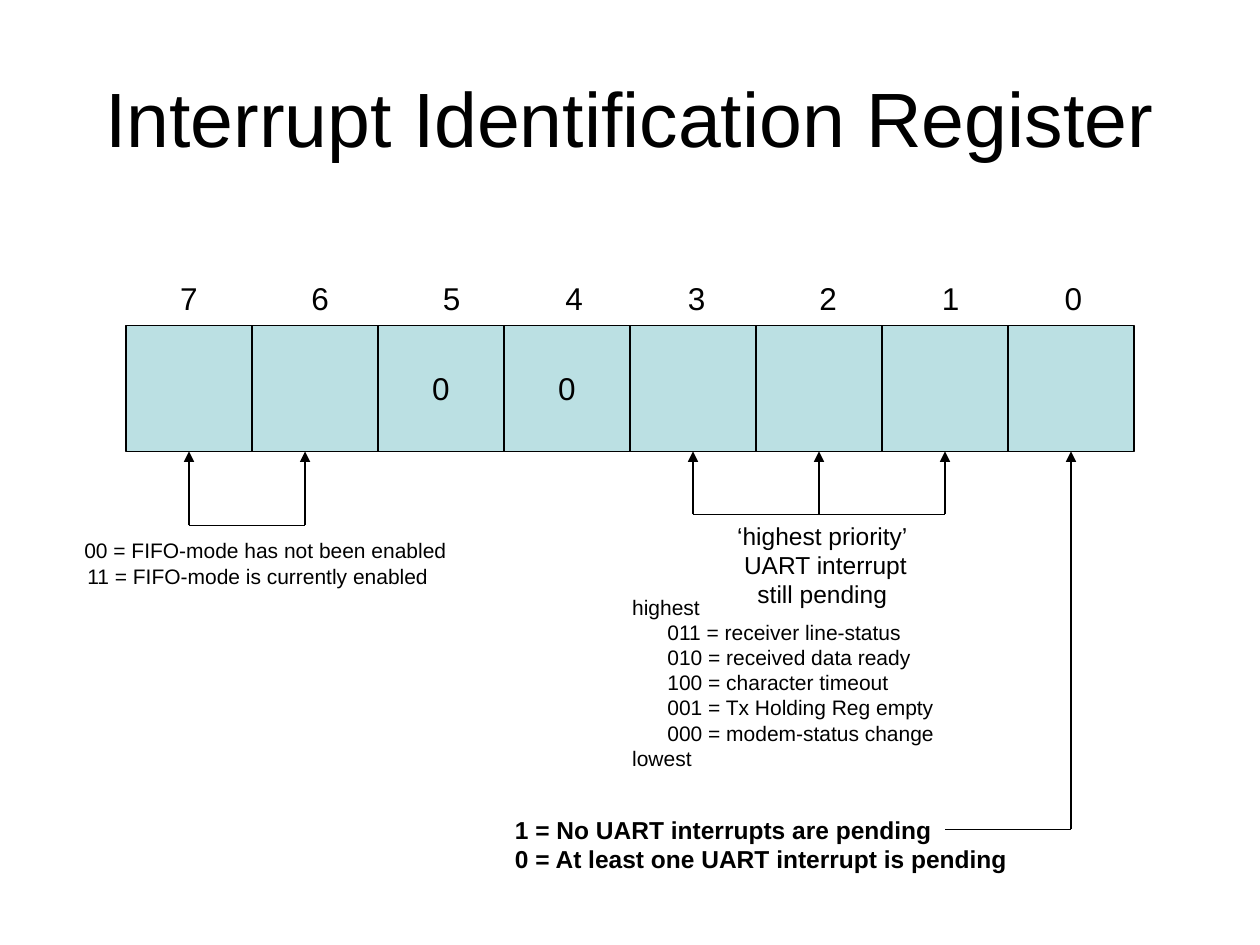
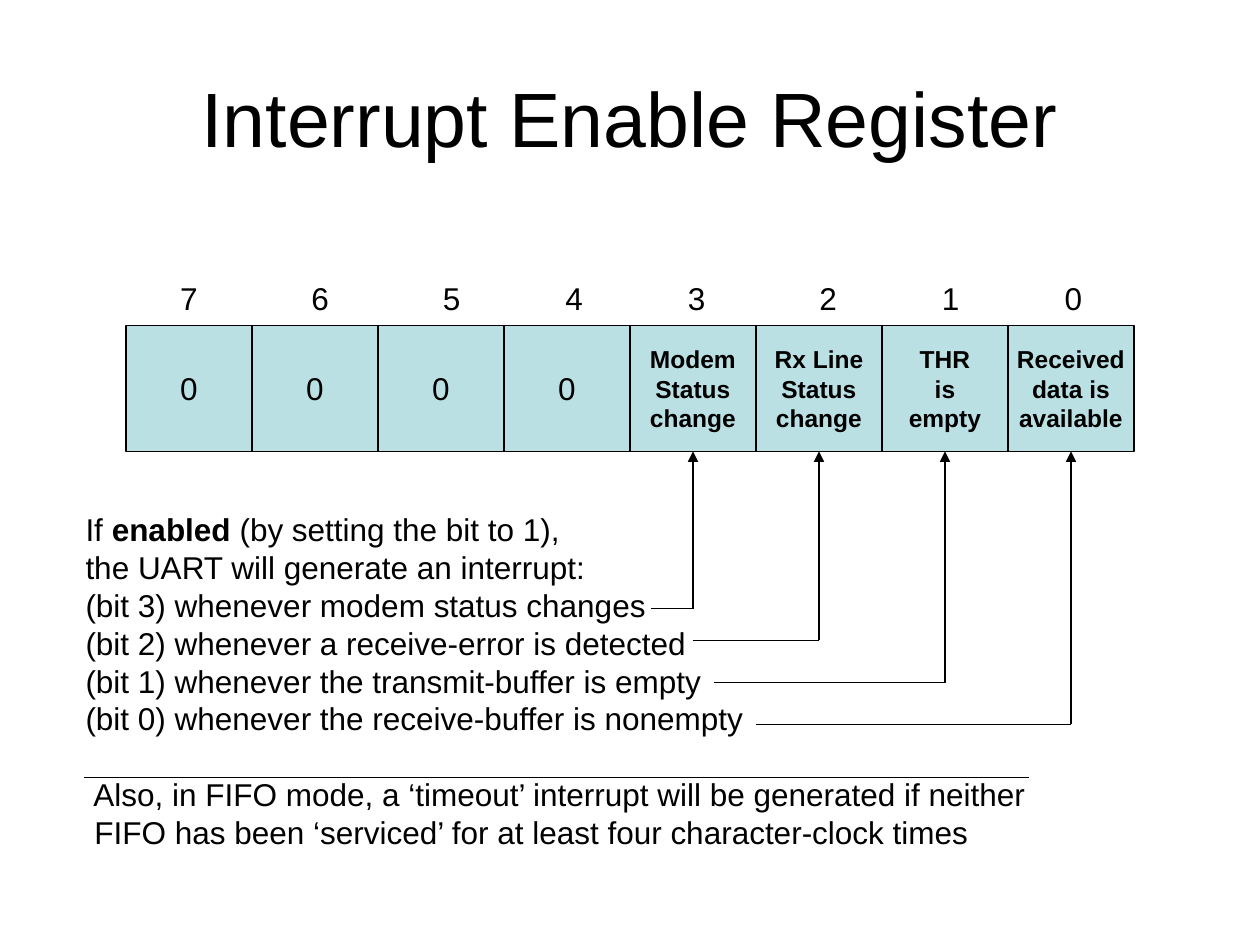
from lxml.etree import SubElement
from pptx import Presentation
from pptx.dml.color import RGBColor
from pptx.enum.shapes import MSO_CONNECTOR as Link, MSO_SHAPE as Shape
from pptx.enum.text import MSO_ANCHOR as Anchor, MSO_AUTO_SIZE as Fit, PP_ALIGN as Align
from pptx.oxml.ns import qn
from pptx.util import Cm, Pt

INK = RGBColor(0x00, 0x00, 0x00)
TEAL = RGBColor(0xBB, 0xE0, 0xE3)
FONT = "Arial"
THIN = Pt(0.75)
BITS = 8

TITLE = (1.27, 0.76, 22.86, 3.18)
REG = (2.54, 6.56, 20.32, 2.54)
INDEX = (3.38, 5.51, 0.9, 1.02)  # the first bit number
WIDE, NARROW = 2.65, 2.47  # steps between the bit numbers
STEPS = (WIDE, WIDE, NARROW, NARROW, WIDE, NARROW, NARROW)


def cms(box):
    return [Cm(v) for v in box]


def style(item, **form):
    for name, value in form.items():
        setattr(item, name, value)


def write(frame, lines, size, bold=False, align=Align.LEFT, gaps=None):
    """Fill a frame; a line is text or (text, indent), and *stars* mark bold.

    gaps maps a line number to the points of space before it.
    """
    for i, line in enumerate(lines):
        text, dent = line if isinstance(line, tuple) else (line, 0)
        para = frame.paragraphs[0] if i == 0 else frame.add_paragraph()
        props = para._p.get_or_add_pPr()
        props.set("marL", str(Cm(dent)))
        props.set("indent", "0")
        SubElement(props, qn("a:buNone"))
        style(para, alignment=align, space_before=Pt((gaps or {}).get(i, 0)))
        for j, part in enumerate(text.split("*")):
            run = para.add_run()
            run.text = part
            style(run.font, name=FONT, size=Pt(size), bold=bold or j % 2 == 1)
            run.font.color.rgb = INK


def place(shape, box):
    """Move a placeholder and give back its text frame."""
    style(shape, **dict(zip(("left", "top", "width", "height"), cms(box))))
    style(shape.text_frame, auto_size=Fit.NONE, word_wrap=True)
    return shape.text_frame


def note(slide, box, lines, size, bold=False):
    frame = slide.shapes.add_textbox(*cms(box)).text_frame
    frame.word_wrap = True
    write(frame, lines, size, bold)


def rule(slide, start, end, arrow=False):
    line = slide.shapes.add_connector(Link.STRAIGHT, *cms(start + end))
    line.line.width = THIN
    line.line.color.rgb = INK
    props = line._element.spPr
    if arrow:
        SubElement(props.find(qn("a:ln")), qn("a:tailEnd"), type="triangle")
    SubElement(props, qn("a:effectLst"))


def mid(bit, box=REG):
    """Centre of a bit's cell, with bit 0 on the right."""
    x, _, w, _ = box
    return x + (BITS - bit - 0.5) * w / BITS


def fork(slide, heads, low, ends, box=REG):
    """Arrows up to the register from a bar at height low."""
    foot = box[1] + box[3]
    for x in heads:
        rule(slide, (x, low), (x, foot), arrow=True)
    rule(slide, (ends[0], low), (ends[1], low))


def index(slide, box):
    """Bit numbers in a row, highest first, starting at the given box."""
    x, *rest = box
    for i in range(BITS):
        note(slide, (x + sum(STEPS[:i]), *rest), [str(BITS - 1 - i)], 18)


def register(slide, box, cells):
    """A row of cells; cells maps a bit to its lines of text."""
    _, y, w, h = box
    side = w / BITS
    for bit in reversed(range(BITS)):
        at = (mid(bit, box) - side / 2, y, side, h)
        cell = slide.shapes.add_shape(Shape.RECTANGLE, *cms(at))
        cell.shadow.inherit = False
        cell.fill.solid()
        cell.fill.fore_color.rgb = TEAL
        cell.line.color.rgb = INK
        cell.line.width = THIN
        style(cell.text_frame, word_wrap=False, vertical_anchor=Anchor.MIDDLE)
        lines = cells.get(bit, [])
        label = len(lines) > 1
        write(cell.text_frame, lines, 14 if label else 18, label, Align.CENTER)


def base(deck, title, cells):
    """A slide with its title and register; gives the slide and its body."""
    slide = deck.slides.add_slide(deck.slide_layouts[1])
    head, body = slide.placeholders
    frame = place(head, TITLE)
    frame.vertical_anchor = Anchor.MIDDLE
    write(frame, [title], 44, align=Align.CENTER)
    register(slide, REG, cells)
    index(slide, INDEX)
    return slide, body


def ident(deck):
    slide, body = base(deck, "Interrupt Identification Register",
                       {5: ["0"], 4: ["0"]})
    fifo = (mid(7), 6.15)
    fork(slide, fifo, 10.59, fifo)
    note(slide, (1.27, 10.72, 8.2, 1.27),
         [("00 = FIFO-mode has not been enabled", 0.18),
          ("11 = FIFO-mode is currently enabled", 0.24)], 12)

    cause = [mid(bit) for bit in (3, 2, 1)]
    fork(slide, cause, 10.37, (cause[0], cause[-1]))
    note(slide, (14.61, 10.37, 4.2, 2.03),
         ["‘highest priority’", ("UART interrupt", 0.14),
          ("still pending", 0.41)], 14)
    codes = ("011 = receiver line-status", "010 = received data ready",
             "100 = character timeout", "001 = Tx Holding Reg empty",
             "000 = modem-status change")
    write(place(body, (12.49, 11.85, 6.6, 4.57)),
          ["highest", *((code, 0.71) for code in codes), "lowest"], 12)

    fork(slide, [mid(0)], 16.72, (mid(1), mid(0)))
    note(slide, (10.13, 16.3, 10.6, 1.45),
         ["1 = No UART interrupts are pending",
          "0 = At least one UART interrupt is pending"], 14, bold=True)


def enable(deck):
    cells = {bit: ["0"] for bit in (7, 6, 5, 4)}
    cells |= {3: ["Modem", "Status", "change"],
              2: ["Rx Line", "Status", "change"],
              1: ["THR", "is", "empty"],
              0: ["Received", "data is", "available"]}
    slide, body = base(deck, "Interrupt Enable Register", cells)
    write(place(body, (1.47, 10.16, 19.8, 7.11)),
          ["If *enabled* (by setting the bit to 1),",
           "the UART will generate an interrupt:",
           "(bit 3) whenever modem status changes",
           "(bit 2) whenever a receive-error is detected",
           "(bit 1) whenever the transmit-buffer is empty",
           "(bit 0) whenever the receive-buffer is nonempty",
           ("Also, in FIFO mode, a ‘timeout’ interrupt will be generated if neither", 0.16),
           ("FIFO has been ‘serviced’ for at least four character-clock times", 0.18)],
          18, gaps={6: 21.8})
    rule(slide, (1.7, 15.67), (20.75, 15.67))
    for bit, left, low in ((3, 13.13, 12.27), (2, 13.97, 12.91),
                           (1, 14.4, 13.76), (0, 15.24, 14.6)):
        fork(slide, [mid(bit)], low, (left, mid(bit)))


def main():
    deck = Presentation()
    style(deck, slide_width=Cm(25.4), slide_height=Cm(19.05))
    ident(deck)
    enable(deck)
    deck.save("out.pptx")


if __name__ == "__main__":
    main()
